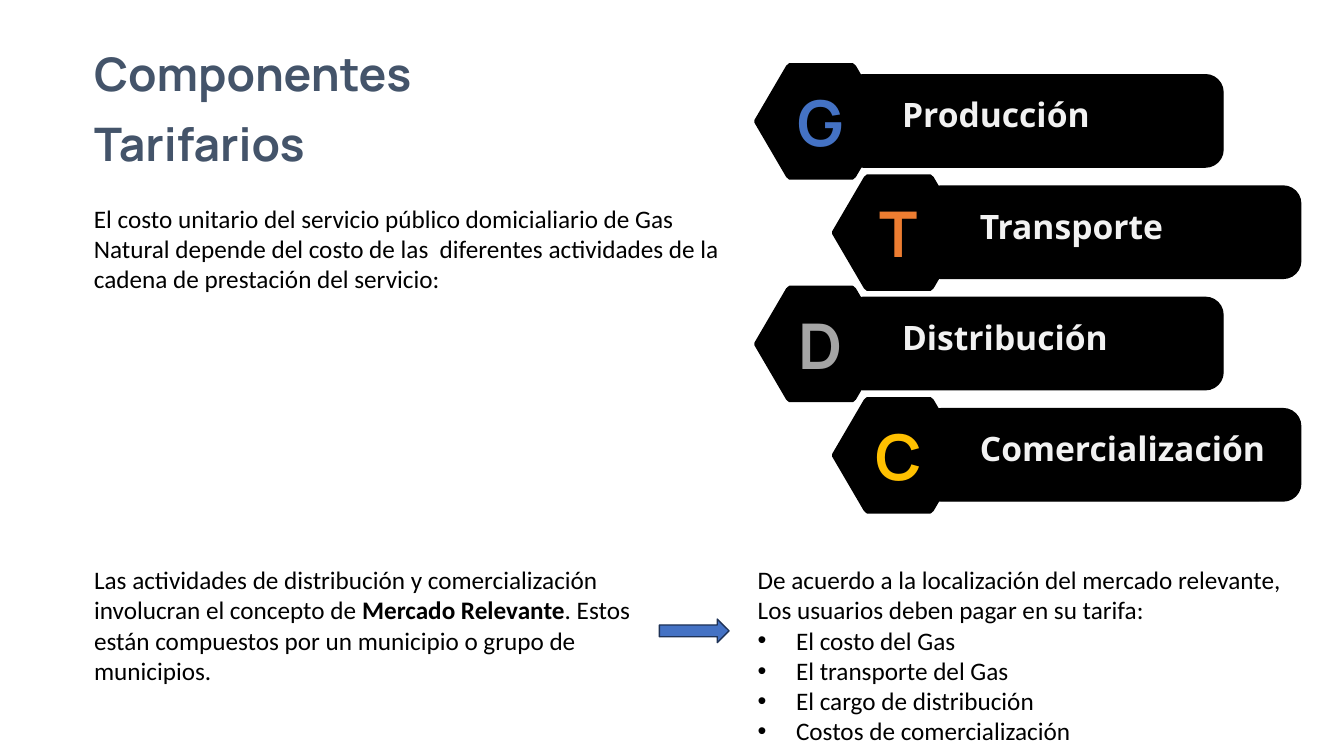
from lxml import etree
from pptx import Presentation
from pptx import util as u
from pptx.dml import color
from pptx.enum import shapes, text
from pptx.oxml import ns

COLUMNS, ROWS = 160, 90
CELL = u.Inches(13.33) / COLUMNS
BLACK, BLUE = "000000", "4472C4"
ACTIVITIES = [
    ("G", "Producción", BLUE),
    ("T", "Transporte", "ED7D31"),
    ("D", "Distribución", "A5A5A5"),
    ("C", "Comercialización", "FFC000"),
]
HEXAGON = [
    (0, 0.51), (0.24, 0.98), (0.26, 1), (0.74, 1), (0.76, 0.98), (1, 0.51),
    (1, 0.49), (0.76, 0.02), (0.74, 0), (0.26, 0), (0.24, 0.02), (0, 0.49),
]


def cells(*counts):
    return [u.Emu(round(count * CELL)) for count in counts]


def rgb(hex_color):
    return color.RGBColor.from_string(hex_color)


def paint(shape, fill, line=BLACK):
    shape.shadow.inherit = False
    shape.fill.solid()
    shape.fill.fore_color.rgb = rgb(fill)
    shape.line.color.rgb = rgb(line)
    shape.line.width = u.Pt(1)
    return shape


def add_preset(slide, preset, box, fill, line=BLACK):
    return paint(slide.shapes.add_shape(preset, *cells(*box)), fill, line)


def add_hexagon(slide, box):
    left, top, width, height = cells(*box)
    corners = [(left + x * width, top + y * height) for x, y in HEXAGON]
    outline = slide.shapes.build_freeform(*corners[0])
    outline.add_line_segments(corners[1:], close=True)
    return paint(outline.convert_to_shape(), BLACK)


def set_bullet(paragraph, bulleted):
    properties = paragraph._p.get_or_add_pPr()
    hang = u.Inches(0.38) if bulleted else 0
    properties.set("marL", str(hang))
    properties.set("indent", str(-hang))
    tag = "a:buChar" if bulleted else "a:buNone"
    bullet = etree.SubElement(properties, ns.qn(tag))
    if bulleted:
        bullet.set("char", "•")


def write(shape, wording, size=18, font="Calibri", ink=BLACK, bold=False,
          strong="", bullets=(), align=text.PP_ALIGN.LEFT,
          anchor=text.MSO_ANCHOR.TOP, wrap=True, spacing=1.0):
    frame = shape.text_frame
    frame.word_wrap = wrap
    frame.auto_size = text.MSO_AUTO_SIZE.NONE
    frame.vertical_anchor = anchor
    for index, line in enumerate([wording, *bullets]):
        paragraph = frame.add_paragraph() if index else frame.paragraphs[0]
        paragraph.alignment = align
        paragraph.line_spacing = spacing
        paragraph.space_before = u.Pt(0)
        set_bullet(paragraph, index > 0)
        before, term, after = line.partition(strong) if strong else (line, "", "")
        for part in filter(None, (before, term, after)):
            run = paragraph.add_run()
            run.text = part
            run.font.size = u.Pt(size)
            run.font.name = font
            run.font.color.rgb = rgb(ink)
            run.font.bold = bold or part == strong
    return frame


def place(shape, box):
    shape.left, shape.top, shape.width, shape.height = cells(*box)
    return shape


def add_introduction(slide, box):
    left, top, width, height = box
    write(place(slide.shapes.title, (left, top, 57.1, 9)),
          "Componentes Tarifarios", size=33, font="Manrope", ink="44546A",
          bold=True, spacing=u.Pt(50))
    cost = slide.shapes.add_textbox(*cells(left, top + 20.5, width, height - 20.5))
    write(cost, "El costo unitario del servicio público domicialiario de Gas "
                "Natural depende del costo de las  diferentes actividades de la "
                "cadena de prestación del servicio:")


def add_activity(slide, left, top, letter, activity, ink):
    bar = add_preset(slide, shapes.MSO_SHAPE.ROUNDED_RECTANGLE,
                     (left + 10.8, top + 1.3, 44.9, 11), BLACK)
    bar.adjustments[0] = 0.19
    add_hexagon(slide, (left, top, 15.7, 13.7))
    add_hexagon(slide, (left + 0.95, top + 0.85, 13.8, 12))
    initial = add_preset(slide, shapes.MSO_SHAPE.RECTANGLE,
                         (left + 4.2, top + 1.7, 7.2, 10.3), BLACK)
    write(initial, letter, size=45, font="Manrope", ink=ink, bold=True,
          align=text.PP_ALIGN.CENTER, anchor=text.MSO_ANCHOR.MIDDLE, wrap=False)
    label = add_preset(slide, shapes.MSO_SHAPE.RECTANGLE,
                       (left + 16.9, top + 4.6, 36.7, 4.4), BLACK)
    frame = write(label, activity, size=24, font="Open Sans", ink="F2F2F2",
                  bold=True, anchor=text.MSO_ANCHOR.MIDDLE, spacing=u.Pt(20.5))
    frame.margin_left, frame.margin_top = cells(0.6, 0.4)
    frame.margin_right, frame.margin_bottom = cells(0.6, 0.6)


def add_activities(slide, box):
    left, top, width, height = box
    for index, activity in enumerate(ACTIVITIES):
        stagger = 9.25 * (index % 2)
        add_activity(slide, left + stagger, top + index * height / 4, *activity)


def add_market(slide, box):
    left, top, width, height = box
    market, tariff = list(slide.placeholders)[1:]
    write(place(market, (left, top, 66.2, 19.4)),
          "Las actividades de distribución y comercialización involucran el "
          "concepto de Mercado Relevante. Estos están compuestos por un "
          "municipio o grupo de municipios.", strong="Mercado Relevante")
    add_preset(slide, shapes.MSO_SHAPE.RIGHT_ARROW,
               (left + 68.5, top + 7.1, 8.3, 2.8), BLUE, "1E3256")
    write(place(tariff, (left + 79, top, width - 79, height)),
          "De acuerdo a la localización del mercado relevante, Los usuarios "
          "deben pagar en su tarifa:",
          bullets=["El costo del Gas", "El transporte del Gas",
                   "El cargo de distribución", "Costos de comercialización"])


def main():
    deck = Presentation()
    deck.slide_width, deck.slide_height = cells(COLUMNS, ROWS)
    slide = deck.slides.add_slide(deck.slide_layouts[3])
    add_introduction(slide, (10, 3.1, 78, 36.2))
    add_activities(slide, (89.9, 7.6, 65, 53))
    add_market(slide, (10, 66.6, 146.3, 23))
    deck.save("out.pptx")


if __name__ == "__main__":
    main()
